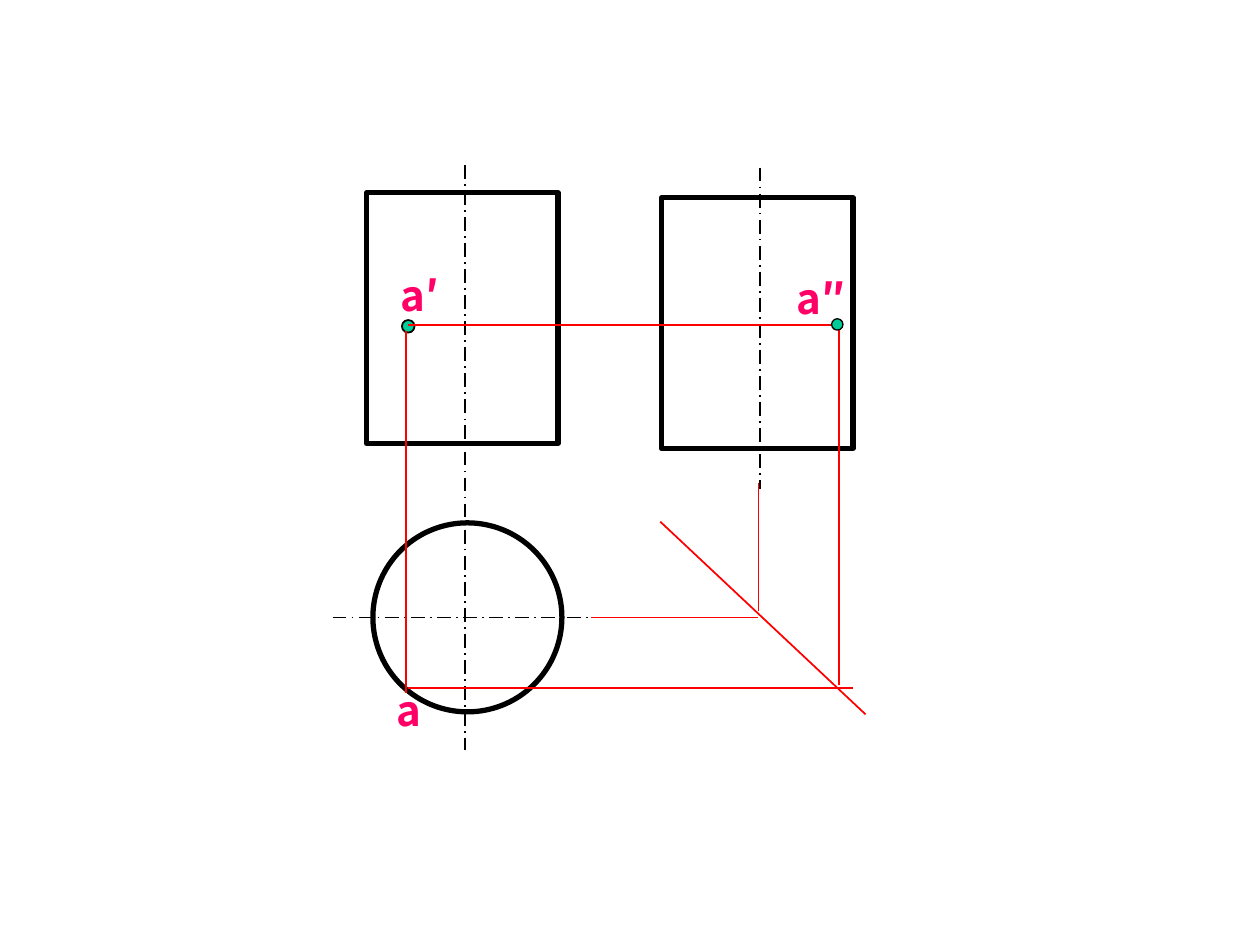
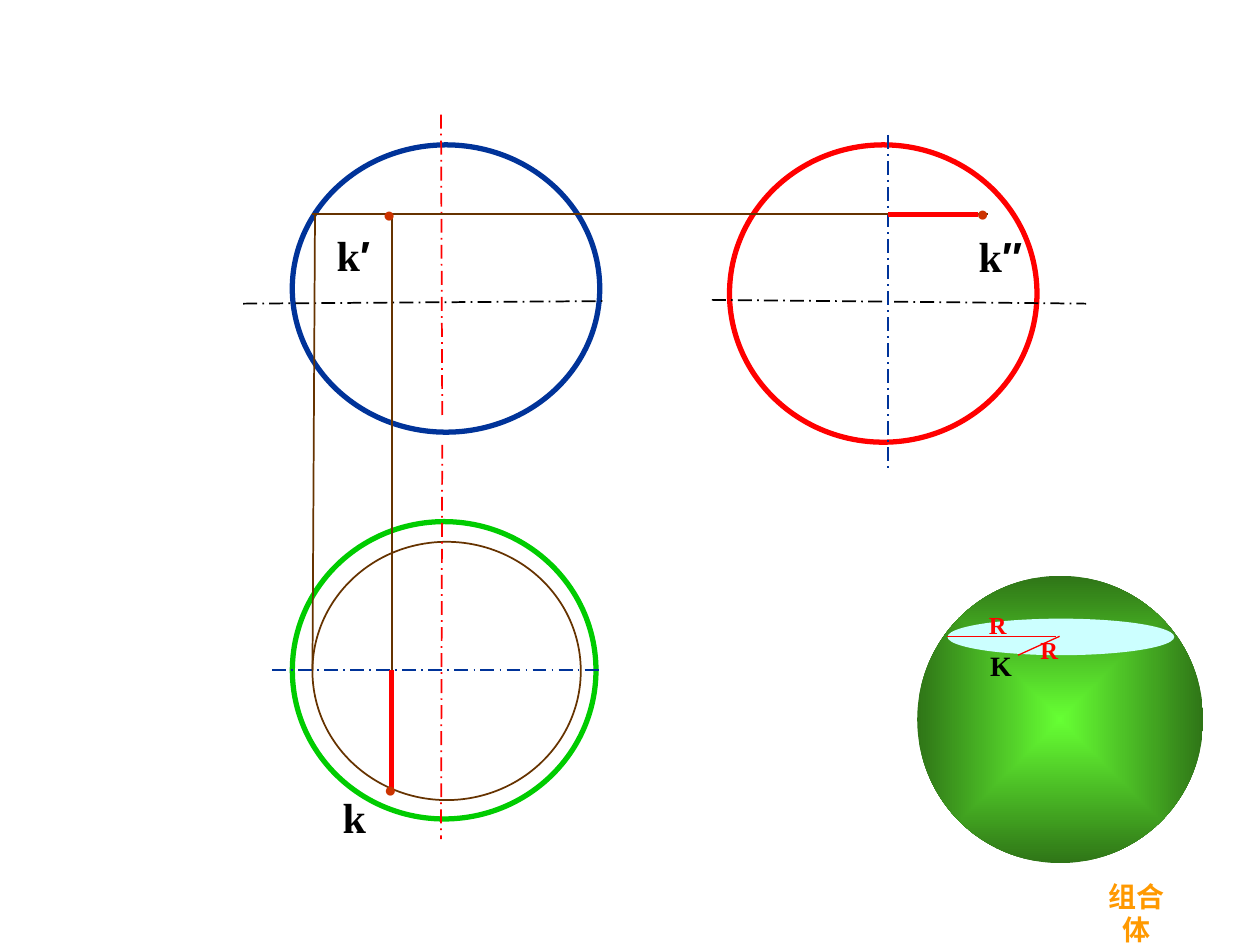
from dataclasses import dataclass

from lxml import etree
from pptx import Presentation
from pptx.dml.color import RGBColor
from pptx.enum.dml import MSO_LINE
from pptx.enum.shapes import MSO_CONNECTOR, MSO_SHAPE
from pptx.enum.text import MSO_ANCHOR, PP_ALIGN
from pptx.oxml.ns import qn
from pptx.util import Inches, Pt

RECT, OVAL = MSO_SHAPE.RECTANGLE, MSO_SHAPE.OVAL
STRAIGHT = MSO_CONNECTOR.STRAIGHT
LONG_DASH_DOT = MSO_LINE.LONG_DASH_DOT
TOP, MIDDLE = MSO_ANCHOR.TOP, MSO_ANCHOR.MIDDLE
LEFT, CENTER = PP_ALIGN.LEFT, PP_ALIGN.CENTER

COLORS = {
    "black": "000000", "red": "FF0000", "pink": "FF0066", "teal": "00CC99",
    "blue": "003399", "green": "00CC00", "brown": "663300", "rust": "CC3300",
    "ice": "CCFFFF", "lime": "66FF33", "forest": "2F7517", "orange": "FF9900",
}
CJK, SERIF, SANS = "Noto Sans CJK SC", "Times New Roman", "Arial"


@dataclass
class Outline:
    """Rectangle or ellipse given by its box."""
    kind: int
    x: float
    y: float
    w: float
    h: float
    line: str | None = "black"
    width: float = 3
    fill: str | None = None


@dataclass
class Line:
    """Straight line between two points."""
    x1: float
    y1: float
    x2: float
    y2: float
    color: str = "red"
    width: float = 1
    dashed: bool = False


@dataclass
class Label:
    """Text box; a prime mark may follow the letter in its own font."""
    text: str
    x: float
    y: float
    w: float
    h: float
    size: float = 24
    color: str = "black"
    font: str = SERIF
    bold: bool = True
    prime: str = ""
    align: int = CENTER
    anchor: int = TOP
    east_asian: bool = False


def rgb(name: str) -> RGBColor:
    return RGBColor.from_string(COLORS[name])


def draw_outline(slide, o: Outline):
    sp = slide.shapes.add_shape(o.kind, Inches(o.x), Inches(o.y), Inches(o.w), Inches(o.h))
    sp.shadow.inherit = False
    if o.fill:
        sp.fill.solid()
        sp.fill.fore_color.rgb = rgb(o.fill)
    else:
        sp.fill.background()
    if o.line:
        sp.line.color.rgb = rgb(o.line)
        sp.line.width = Pt(o.width)
    else:
        sp.line.fill.background()
    return sp


def draw_line(slide, ln: Line) -> None:
    cx = slide.shapes.add_connector(
        STRAIGHT, Inches(ln.x1), Inches(ln.y1), Inches(ln.x2), Inches(ln.y2))
    cx.line.color.rgb = rgb(ln.color)
    cx.line.width = Pt(ln.width)
    if ln.dashed:
        cx.line.dash_style = LONG_DASH_DOT
    etree.SubElement(cx._element.spPr, qn("a:effectLst"))


def add_run(p, text: str, *, size: float, color: str, font: str, bold: bool,
            east_asian: bool) -> None:
    r = p.add_run()
    r.text = text
    r.font.size, r.font.name, r.font.bold = Pt(size), font, bold
    r.font.color.rgb = rgb(color)
    if east_asian:
        ea = etree.SubElement(r._r.get_or_add_rPr(), qn("a:ea"))
        ea.set("typeface", CJK)


def draw_label(slide, lb: Label) -> None:
    box = slide.shapes.add_textbox(Inches(lb.x), Inches(lb.y), Inches(lb.w), Inches(lb.h))
    tf = box.text_frame
    tf.word_wrap = False
    tf.vertical_anchor = lb.anchor
    p = tf.paragraphs[0]
    p.alignment = lb.align
    style = dict(size=lb.size, color=lb.color, bold=lb.bold, east_asian=lb.east_asian)
    add_run(p, lb.text, font=lb.font, **style)
    if lb.prime:
        add_run(p, lb.prime, font=SANS, **style)


def draw_sphere(slide, x: float, y: float, w: float, h: float) -> None:
    sp = draw_outline(slide, Outline(OVAL, x, y, w, h, line=None))
    sp.fill.gradient()
    for stop, name, pos in zip(sp.fill.gradient_stops, ("lime", "forest"), (0, 1)):
        stop.color.rgb = rgb(name)
        stop.position = pos
    grad = sp._element.spPr.find(qn("a:gradFill"))
    grad.remove(grad.find(qn("a:lin")))
    shade = etree.SubElement(grad, qn("a:path"))
    shade.set("path", "rect")
    focus = etree.SubElement(shade, qn("a:fillToRect"))
    for side in "ltrb":
        focus.set(side, "50000")


DRAW = {Outline: draw_outline, Line: draw_line, Label: draw_label}


def draw_all(slide, items: list) -> None:
    for item in items:
        DRAW[type(item)](slide, item)


def axis(x1: float, y1: float, x2: float, y2: float, color: str = "black") -> Line:
    return Line(x1, y1, x2, y2, color, dashed=True)


def point_name(text: str, x: float, y: float, w: float) -> Label:
    return Label(text, x, y, w, 0.5, color="pink", font=CJK, east_asian=True)


def point_dot(x: float, y: float) -> Label:
    return Label("●", x, y, 0.36, 0.3, 12, "rust", SANS, bold=False, anchor=MIDDLE)


def radius_mark(x: float, y: float) -> Label:
    return Label("R", x, y, 0.54, 0.34, 14, "red", align=LEFT)


def cylinder_slide(slide) -> None:
    draw_all(slide, [
        # Three views with their axes
        Outline(RECT, 2.91, 1.53, 1.52, 1.99),
        Outline(RECT, 5.25, 1.57, 1.52, 1.99),
        axis(3.69, 1.31, 3.69, 5.95),
        Outline(OVAL, 2.96, 4.15, 1.5, 1.5),
        axis(2.64, 4.9, 4.68, 4.9),
        axis(6.03, 1.33, 6.03, 3.88),
        # Point A in each view
        Outline(OVAL, 3.19, 2.54, 0.1, 0.1, width=1, fill="teal"),
        point_name("a″", 6.14, 2.11, 0.75),
        point_name("a", 3.01, 5.38, 0.47),
        point_name("a′", 2.98, 2.09, 0.71),
        # Projection lines
        Line(3.22, 2.63, 3.22, 5.5),
        Line(3.24, 5.46, 6.77, 5.46),
        Line(5.24, 4.14, 6.87, 5.67),
        Line(6.66, 5.44, 6.66, 2.56),
        Line(3.24, 2.58, 6.66, 2.58),
        Outline(OVAL, 6.6, 2.53, 0.09, 0.09, width=0.75, fill="teal"),
        Line(4.69, 4.9, 6.02, 4.9, width=0.75),
        Line(6.02, 3.83, 6.02, 4.85, width=0.75),
    ])


def sphere_slide(slide) -> None:
    draw_all(slide, [
        # Three views with their axes
        Outline(OVAL, 2.32, 1.15, 2.44, 2.28, "blue"),
        axis(1.93, 2.41, 4.78, 2.39),
        axis(3.5, 0.91, 3.51, 3.3, "red"),
        Outline(OVAL, 2.32, 4.14, 2.41, 2.36, "green"),
        Outline(OVAL, 5.79, 1.15, 2.44, 2.36, "red"),
        axis(5.65, 2.38, 8.62, 2.41),
        axis(7.05, 1.07, 7.05, 3.75, "blue"),
        # Auxiliary circle and projection lines
        Line(2.48, 1.7, 7.84, 1.7, "brown"),
        Outline(OVAL, 2.48, 4.3, 2.13, 2.05, "brown", 1),
        axis(2.16, 5.32, 4.79, 5.32, "blue"),
        axis(3.51, 3.53, 3.5, 6.66, "red"),
        Line(3.11, 1.7, 3.11, 6.27, "brown"),
        # Point K in each view
        point_dot(2.91, 1.55),
        Label("k", 2.53, 1.77, 0.55, 0.5, prime="′", anchor=MIDDLE),
        Line(3.11, 5.32, 3.11, 6.27, width=3),
        Line(7.05, 1.7, 7.76, 1.7, width=3),
        Line(2.5, 1.7, 2.48, 5.32, "brown"),
        point_dot(2.92, 6.11),
        Label("k", 2.62, 6.23, 0.38, 0.5, anchor=MIDDLE),
        point_dot(7.62, 1.54),
        Label("k", 7.63, 1.78, 0.62, 0.5, prime="″", anchor=MIDDLE),
    ])
    # Shaded sphere with its section circle
    draw_sphere(slide, 7.28, 4.57, 2.27, 2.28)
    draw_all(slide, [
        Label("K", 7.76, 5.1, 0.4, 0.37, 16, align=LEFT),
        Outline(OVAL, 7.52, 4.91, 1.8, 0.29, line=None, fill="ice"),
        Line(8.41, 5.05, 8.08, 5.2, width=0.75),
        Line(8.38, 5.05, 7.52, 5.05, width=0.75),
        radius_mark(7.75, 4.79),
        radius_mark(8.16, 4.99),
        Label("组合体", 8.59, 6.93, 0.86, 0.37, 16, "orange", east_asian=True),
    ])


def main() -> None:
    prs = Presentation()
    prs.slide_width, prs.slide_height = Inches(10), Inches(7.5)
    blank = prs.slide_layouts[6]
    for build in (cylinder_slide, sphere_slide):
        build(prs.slides.add_slide(blank))
    prs.save("out.pptx")


if __name__ == "__main__":
    main()
